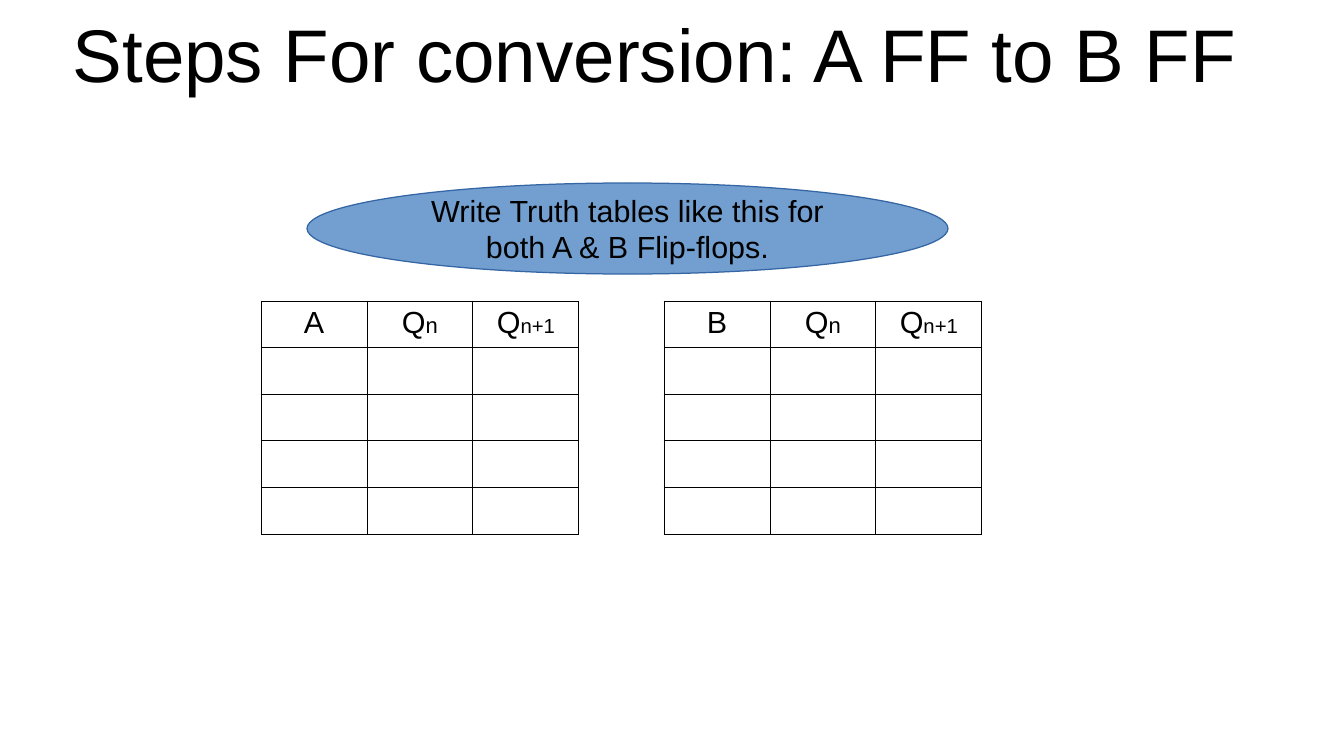
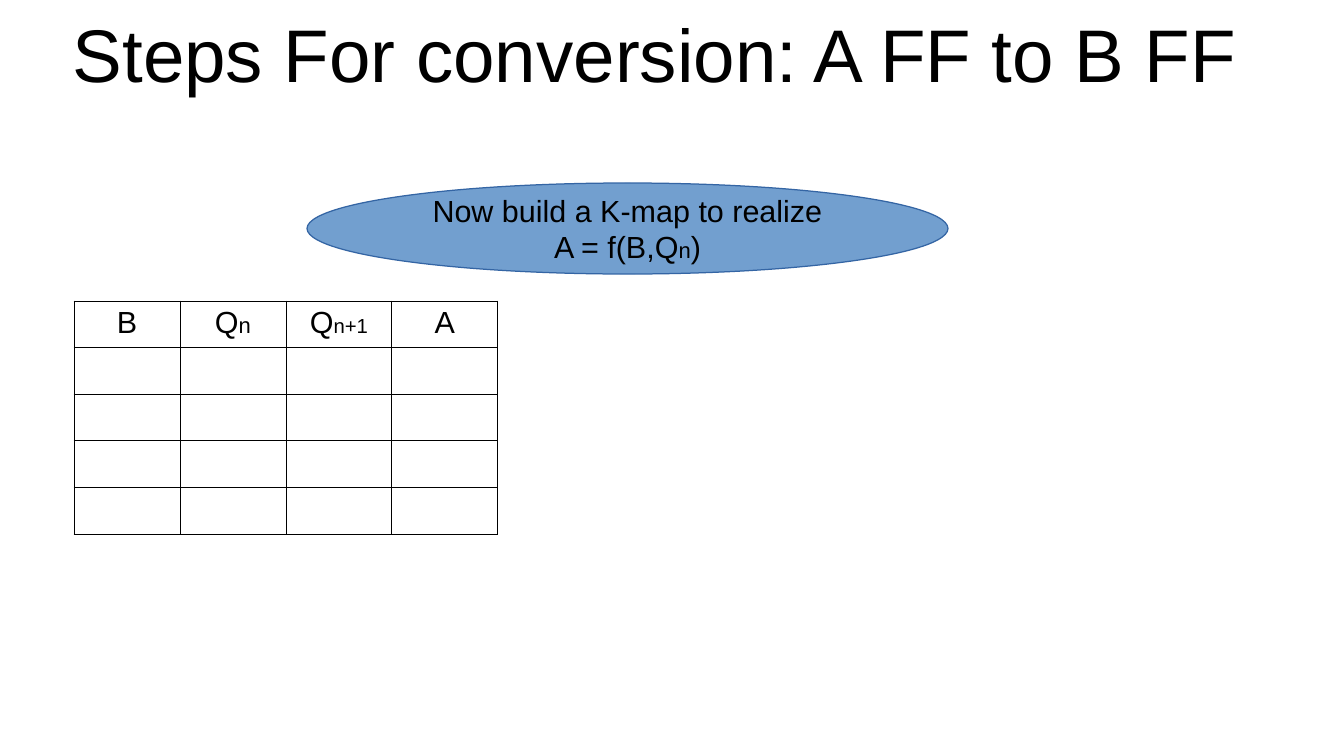
"""Builds two slides on converting one flip-flop into another."""
from lxml.etree import SubElement as Sub
from pptx import Presentation
from pptx.dml.color import RGBColor
from pptx.enum.shapes import MSO_SHAPE as Shape
from pptx.enum.text import MSO_ANCHOR as Anchor, PP_ALIGN as Align
from pptx.oxml.ns import qn
from pptx.util import Emu, Pt

BLACK = RGBColor(0x00, 0x00, 0x00)
BLUE = RGBColor(0x72, 0x9F, 0xCF)
EDGE = RGBColor(0x34, 0x65, 0xA4)
FONT = "Arial"
BODY = 18
RULE = 0.57
COL = 106
ROWS = 5

A = [("A", BODY)]
B = [("B", BODY)]
NOW = [("Q", BODY), ("n", 13)]
NEXT = [("Q", BODY), ("n+1", 12)]


def px(num):
    return Emu(round(num * 914400 / 122))


class Deck:
    def __init__(self):
        self.prs = Presentation()
        self.prs.slide_width = px(1344)
        self.prs.slide_height = px(756)
        self.slide = None

    def page(self, title):
        self.slide = self.prs.slides.add_slide(self.prs.slide_layouts[6])
        box = self.slide.shapes.add_textbox(px(20), px(10), px(1271), px(85))
        self.text(box.text_frame, [[(title, 44)]], 0, 0)

    def text(self, frame, paras, side, top):
        frame.word_wrap = True
        frame.vertical_anchor = Anchor.MIDDLE
        frame.margin_left = frame.margin_right = px(side)
        frame.margin_top = frame.margin_bottom = px(top)
        for num, runs in enumerate(paras):
            para = frame.add_paragraph() if num else frame.paragraphs[0]
            self.runs(para, runs)

    def runs(self, para, runs):
        para.alignment = Align.CENTER
        for text, size in runs:
            run = para.add_run()
            run.text = text
            run.font.name = FONT
            run.font.size = Pt(size)
            run.font.color.rgb = BLACK

    def oval(self, paras):
        oval = self.slide.shapes.add_shape(
            Shape.OVAL, px(307), px(183), px(641), px(91))
        oval.shadow.inherit = False
        oval.fill.solid()
        oval.fill.fore_color.rgb = BLUE
        oval.line.color.rgb = EDGE
        oval.line.width = Pt(0)
        self.text(oval.text_frame, paras, 12, 6)

    def table(self, left, heads):
        cols = len(heads)
        table = self.slide.shapes.add_table(
            ROWS, cols, px(left), px(301), px(cols * COL), px(232)).table
        table.first_row = table.horz_banding = False
        for cell in table.iter_cells():
            cell.margin_left = cell.margin_right = px(5)
            cell.margin_top = cell.margin_bottom = px(5)
            self.frame(cell)
            cell.fill.background()
        for num, runs in enumerate(heads):
            self.runs(table.cell(0, num).text_frame.paragraphs[0], runs)

    def frame(self, cell):
        props = cell._tc.get_or_add_tcPr()
        for side in ("a:lnL", "a:lnR", "a:lnT", "a:lnB"):
            line = Sub(props, qn(side), w=str(int(Pt(RULE))))
            paint = Sub(line, qn("a:solidFill"))
            Sub(paint, qn("a:srgbClr"), val=str(BLACK))


def main():
    title = "Steps For conversion: A FF to B FF"
    deck = Deck()

    deck.page(title)
    deck.table(261, [A, NOW, NEXT])
    deck.table(664, [B, NOW, NEXT])
    deck.oval([[("Write Truth tables like this for both A & B Flip-flops.", BODY)]])

    deck.page(title)
    deck.table(74, [B, NOW, NEXT, A])
    deck.oval([[("Now build a K-map to realize", BODY)],
               [("A = f(B,Q", BODY), ("n", 13), (")", BODY)]])

    deck.prs.save("out.pptx")


if __name__ == "__main__":
    main()
